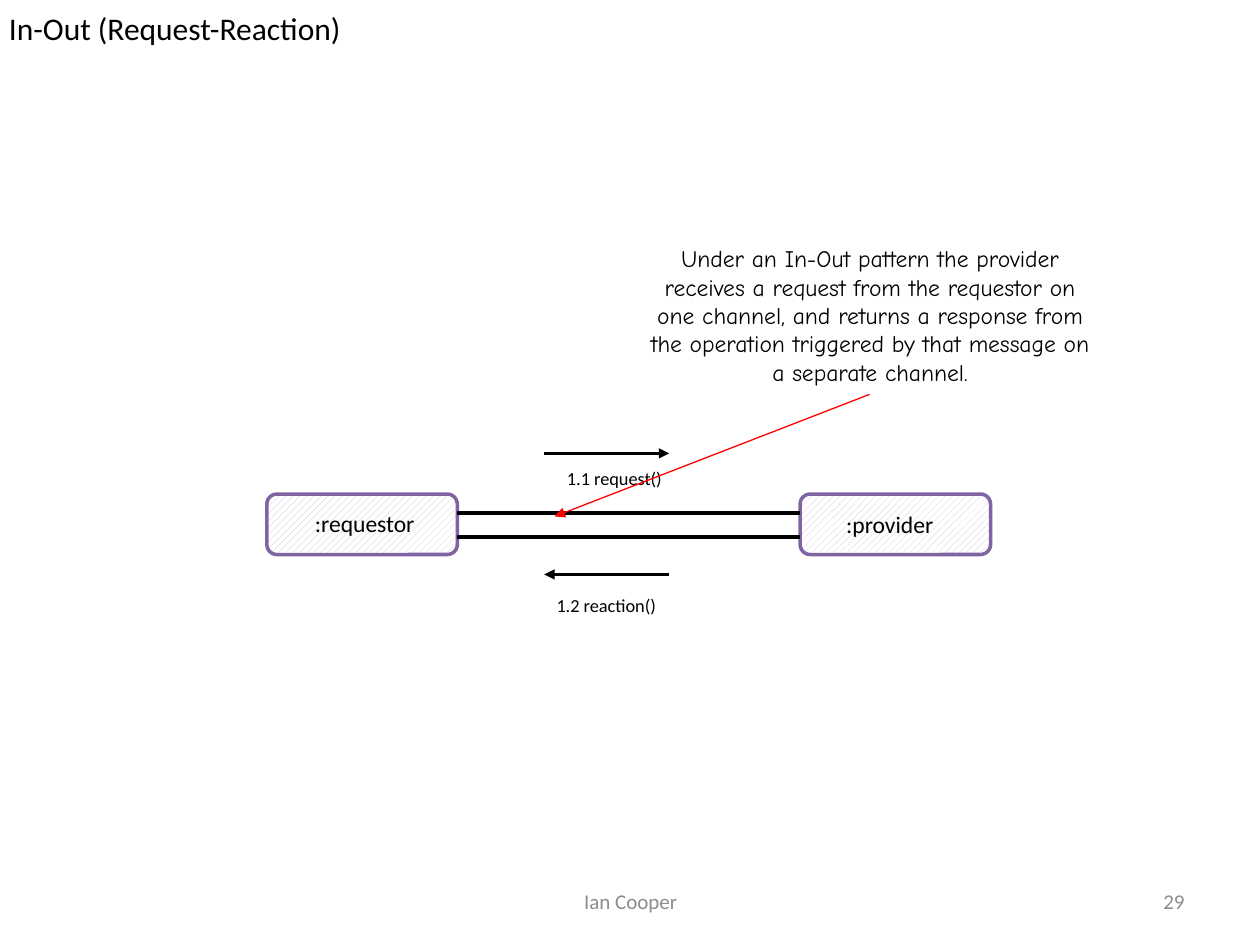
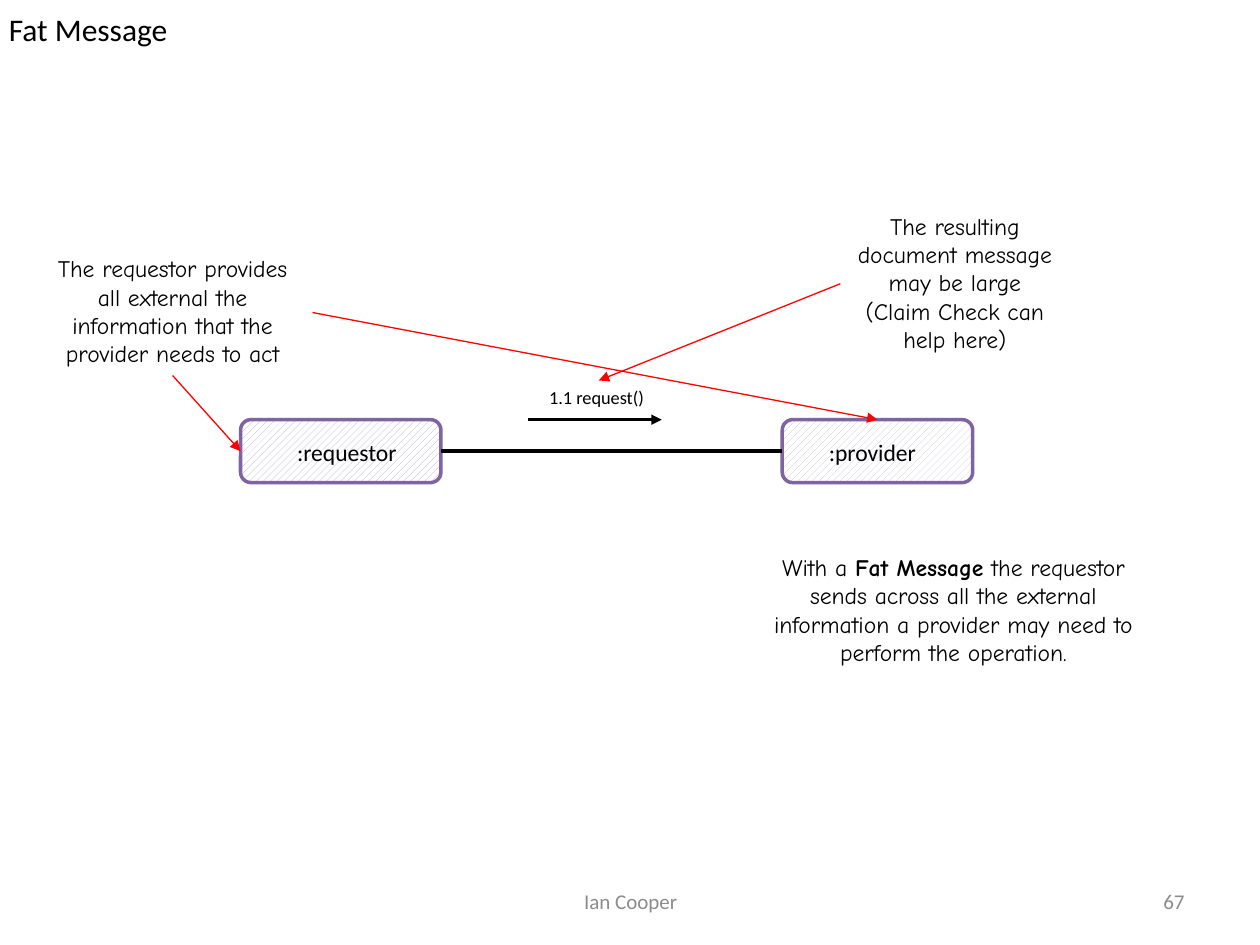
from lxml.etree import SubElement
from pptx import Presentation
from pptx.dml.color import RGBColor
from pptx.enum.dml import MSO_PATTERN
from pptx.enum.shapes import MSO_CONNECTOR, MSO_SHAPE
from pptx.enum.text import MSO_ANCHOR, PP_ALIGN
from pptx.oxml.ns import qn
from pptx.util import Cm, Pt

COLOURS = {
    "ink": "000000",
    "paper": "FFFFFF",
    "footer": "8C8C8C",
    "border": "8064A2",
    "hatch": "CCC1DA",
    "dark hatch": "B3A2C7",
    "pointer": "FF0000",
}
BODY_FONT = "Calibri"
NOTE_FONT = "Comic Neue"
BOX_WIDTH = 3.84
LABEL_HEIGHT = 0.84


def colour(key):
    return RGBColor.from_string(COLOURS[key])


def hatch(shape, key):
    shape.fill.patterned()
    shape.fill.pattern = MSO_PATTERN.WIDE_UPWARD_DIAGONAL
    shape.fill.fore_color.rgb = colour(key)
    shape.fill.back_color.rgb = colour("paper")


def add_text(slide, text, left, top, width, height, size,
             font=BODY_FONT, ink="ink", align=PP_ALIGN.LEFT):
    """Add a text box; words between asterisks are bold."""
    box = slide.shapes.add_textbox(Cm(left), Cm(top), Cm(width), Cm(height))
    box.text_frame.word_wrap = True
    paragraph = box.text_frame.paragraphs[0]
    paragraph.alignment = align
    paragraph.font.name = font
    paragraph.font.size = Pt(size)
    paragraph.font.color.rgb = colour(ink)
    for index, words in enumerate(text.split("*")):
        run = paragraph.add_run()
        run.text = words
        if index % 2:
            run.font.bold = True
    return box


def add_note(slide, text, left, top, width, height):
    add_text(slide, text, left, top, width, height, 13.5,
             font=NOTE_FONT, align=PP_ALIGN.CENTER)


def add_message_label(slide, text, left, top, width=2.5):
    add_text(slide, text, left, top, width, 0.71, 10.5)


def add_participant_label(slide, text, left, top, width):
    return add_text(slide, text, left, top, width, LABEL_HEIGHT, 13.5)


def add_participant(slide, left, top, height, width=BOX_WIDTH, pattern="hatch"):
    participant = slide.shapes.add_shape(
        MSO_SHAPE.ROUNDED_RECTANGLE, Cm(left), Cm(top), Cm(width), Cm(height))
    participant.shadow.inherit = False
    hatch(participant, pattern)
    participant.line.color.rgb = colour("border")
    participant.line.width = Pt(2)


def add_line(slide, start, end, width, ink="ink", arrow=True):
    points = [Cm(value) for value in (*start, *end)]
    line = slide.shapes.add_connector(MSO_CONNECTOR.STRAIGHT, *points)
    line.line.color.rgb = colour(ink)
    line.line.width = Pt(width)
    if arrow:
        SubElement(line.line._get_or_add_ln(), qn("a:tailEnd"), type="triangle")
    SubElement(line._element.spPr, qn("a:effectLst"))


def add_channel(slide, left, right, y):
    add_line(slide, (left, y), (right, y), 2.5, arrow=False)


def add_message(slide, start, end, y):
    add_line(slide, (start, y), (end, y), 1.5)


def add_pointer(slide, start, end):
    add_line(slide, start, end, 0.75, ink="pointer")


def add_base(deck, title, number, title_top=0):
    slide = deck.slides.add_slide(deck.slide_layouts[6])
    heading = add_text(slide, title, 0, title_top, 25.4, 1.14, 18).text_frame
    heading.margin_left = heading.margin_right = Cm(0.18)
    heading.margin_top = heading.margin_bottom = Cm(0.18)
    for text, left, width, align in (
        ("Ian Cooper", 8.69, 8.05, PP_ALIGN.CENTER),
        (number, 18.21, 5.92, PP_ALIGN.RIGHT),
    ):
        footer = add_text(slide, text, left, 17.65, width, 1.02, 12,
                          ink="footer", align=align)
        footer.text_frame.vertical_anchor = MSO_ANCHOR.MIDDLE
    return slide


def build_in_out(deck):
    slide = add_base(deck, "In-Out (Request-Reaction)", "29")
    requestor, provider = 5.38, 16.13
    for left in (requestor, provider):
        add_participant(slide, left, 9.96, 1.22)

    channel_start = requestor + BOX_WIDTH
    message_left, message_right = 10.97, 13.49
    add_channel(slide, channel_start, provider, 10.34)
    add_message(slide, message_left, message_right, 9.14)
    add_message_label(slide, "1.1 request()", 11.18, 9.3)
    add_channel(slide, channel_start, provider, 10.82)
    add_message(slide, message_right, message_left, 11.58)
    add_message_label(slide, "1.2 reaction()", message_left, 11.86, 3.3)

    add_note(slide, "Under an In-Out pattern the provider receives a request from "
             "the requestor on one channel, and returns a response from the "
             "operation triggered by that message on a separate channel.",
             12.7, 4.8, 9.68, 3.15)
    add_participant_label(slide, ":requestor", 6.1, 10.13, 2.59)
    provider_label = add_participant_label(slide, ":provider", 16.81, 10.16, 2.44)
    hatch(provider_label, "hatch")
    add_pointer(slide, (17.53, 7.95), (11.18, 10.41))


def build_fat_message(deck):
    slide = add_base(deck, "Fat Message", "67", title_top=0.03)
    requestor, requestor_width, provider = 4.85, 4.04, 15.77
    top, height, label_top = 8.46, 1.27, 8.71
    middle = top + height / 2
    add_participant(slide, requestor, top, height, requestor_width, "dark hatch")
    add_participant_label(slide, ":requestor", 5.74, label_top, 2.77)
    add_participant(slide, provider, top, height)
    add_participant_label(slide, ":provider", 16.46, label_top, 2.44)

    add_channel(slide, requestor + requestor_width, provider, middle)
    add_message(slide, 10.64, 13.34, top)
    add_message_label(slide, "1.1 request()", 10.82, 7.67)

    add_note(slide, "The requestor provides all external the information that "
             "the provider needs to act", 0.66, 5, 5.64, 2.57)
    add_pointer(slide, (3.48, 7.57), (requestor, middle))
    add_pointer(slide, (6.3, 6.3), (provider + BOX_WIDTH / 2, top))
    add_note(slide, "The resulting document message may be large "
             "(Claim Check can help here)", 16.94, 4.14, 4.62, 3.15)
    add_pointer(slide, (16.94, 5.72), (12.07, 7.67))
    add_note(slide, "With a *Fat Message* the requestor sends across all the "
             "external information a provider may need to perform the operation.",
             15.04, 11.02, 8.36, 2.57)


def main():
    deck = Presentation()
    deck.slide_width, deck.slide_height = Cm(25.4), Cm(19.05)
    build_in_out(deck)
    build_fat_message(deck)
    deck.save("out.pptx")


if __name__ == "__main__":
    main()
